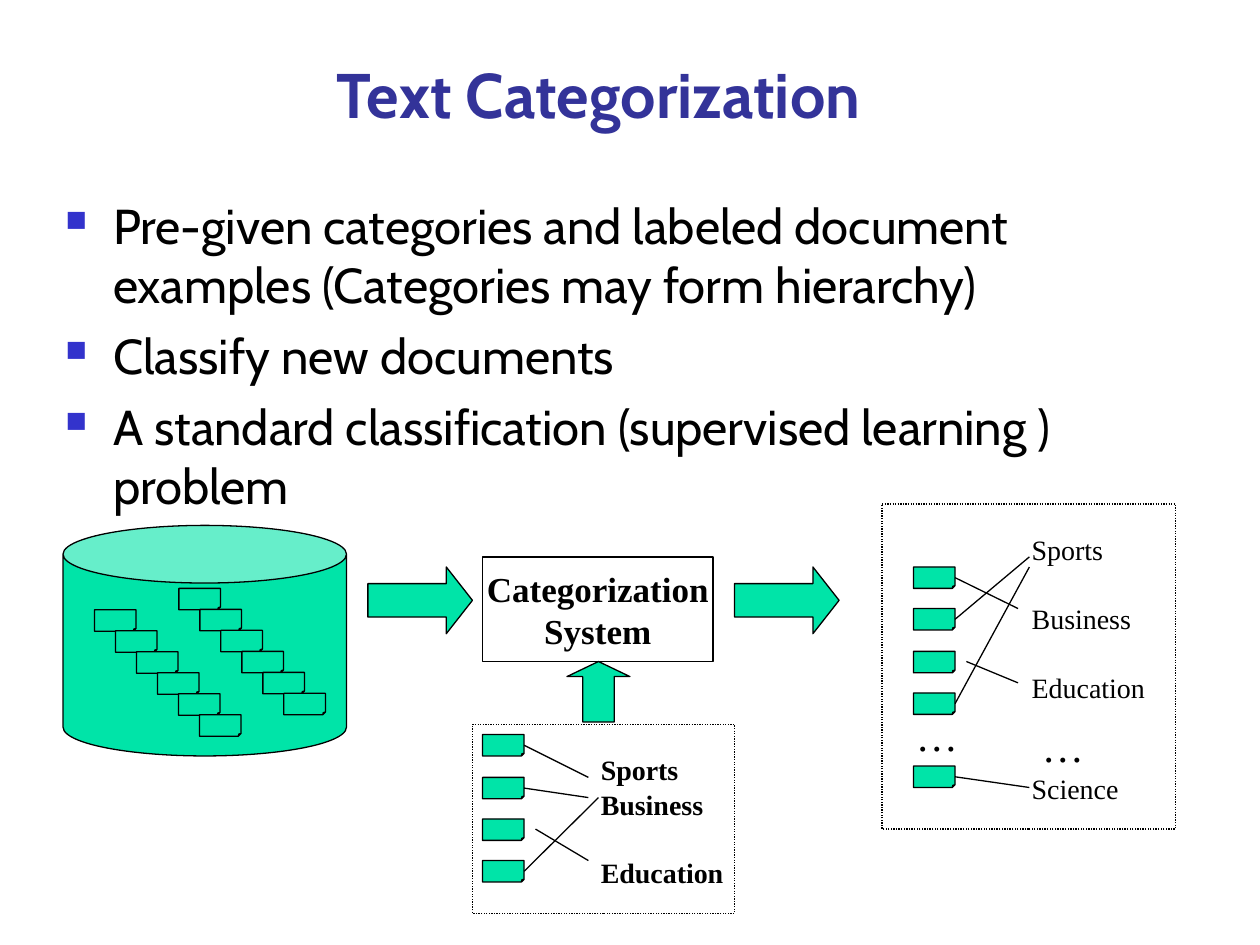
from lxml.etree import SubElement
from pptx import Presentation
from pptx.dml.color import RGBColor as RGB
from pptx.enum.dml import MSO_LINE as Dash
from pptx.enum.shapes import MSO_CONNECTOR as Conn, MSO_SHAPE as Geo
from pptx.enum.text import MSO_ANCHOR as Anchor, MSO_AUTO_SIZE as Fit, PP_ALIGN as Align
from pptx.oxml.ns import qn
from pptx.util import Inches, Pt

HUES = {"title": "333399", "bullet": "3333CC", "ink": "000000", "mint": "00E4A8"}
SERIF = "Times New Roman"
CARD = (0.33, 0.17)


def hue(name):
    return RGB.from_string(HUES[name])


def style(font, color="ink", **values):
    font.color.rgb = hue(color)
    for name, value in values.items():
        setattr(font, name, value)


def shape(slide, geo, box, fill="mint", adj=(), dash=None):
    item = slide.shapes.add_shape(geo, *map(Inches, box))
    item.shadow.inherit = False
    if fill:
        item.fill.solid()
        item.fill.fore_color.rgb = hue(fill)
    else:
        item.fill.background()
    item.line.color.rgb = hue("ink")
    item.line.width = Pt(0.75)
    if dash:
        item.line.dash_style = dash
    for i, value in enumerate(adj):
        item.adjustments[i] = value
    return item


def card(slide, left, top):
    item = shape(slide, Geo.FOLDED_CORNER, (left, top, *CARD))
    guides = item._element.spPr.find(".//" + qn("a:avLst"))
    SubElement(guides, qn("a:gd"), name="adj", fmla="val 12500")
    return item


def line(slide, start, end, source=None):
    link = slide.shapes.add_connector(Conn.STRAIGHT, *map(Inches, (*start, *end)))
    if source is not None:
        link.begin_connect(source, 3)
    link.line.color.rgb = hue("ink")
    link.line.width = Pt(0.75)
    SubElement(link._element.spPr, qn("a:effectLst"))


def label(slide, box, rows, size, bold=False):
    frame = slide.shapes.add_textbox(*map(Inches, box)).text_frame
    frame.word_wrap = False
    for i, (text, gap) in enumerate(rows):
        para = frame.paragraphs[0] if i == 0 else frame.add_paragraph()
        para.text = text
        if gap:
            para.space_before = Pt(gap)
        style(para.font, name=SERIF, size=Pt(size), bold=bold)


def heading(slide, box):
    title = slide.shapes.title
    title.left, title.top, title.width, title.height = map(Inches, box)
    frame = title.text_frame
    frame.text = "Text Categorization"
    frame.auto_size = Fit.NONE
    frame.vertical_anchor = Anchor.BOTTOM
    frame.margin_right = Inches(0.96)
    para = frame.paragraphs[0]
    para.alignment = Align.CENTER
    style(para.font, "title", name="Cabin", size=Pt(36), bold=True)


def points(slide, box, texts):
    frame = slide.shapes.add_textbox(*map(Inches, box)).text_frame
    frame.word_wrap = True
    for i, text in enumerate(texts):
        para = frame.paragraphs[0] if i == 0 else frame.add_paragraph()
        para.text = text
        if i:
            para.space_before = Pt(7)
        props = para._p.get_or_add_pPr()
        props.set("marL", str(Inches(0.38)))
        props.set("indent", str(-Inches(0.38)))
        color = SubElement(props, qn("a:buClr"))
        SubElement(color, qn("a:srgbClr"), val=HUES["bullet"])
        SubElement(props, qn("a:buSzPct"), val="60000")
        SubElement(props, qn("a:buChar"), char="■")
        style(para.font, name="Cabin", size=Pt(28))


def store(slide, box):
    left, top = box[:2]
    shape(slide, Geo.CAN, box, adj=[0.25])
    for dx, dy in ((0.25, 0.67), (0.92, 0.5)):
        for i in range(6):
            card(slide, left + dx + i / 6, top + dy + i / 6)


def system(slide, box):
    frame = shape(slide, Geo.RECTANGLE, box, None).text_frame
    frame.word_wrap = False
    frame.vertical_anchor = Anchor.MIDDLE
    for i, text in enumerate(("Categorization", "System")):
        para = frame.paragraphs[0] if i == 0 else frame.add_paragraph()
        para.text = text
        para.alignment = Align.CENTER
        style(para.font, name=SERIF, size=Pt(20), bold=True)


def panel(slide, box, inset, tops, links, loose, area, rows, bold=False):
    left, top = box[:2]

    def at(spot):
        return left + spot[0], top + spot[1]

    shape(slide, Geo.RECTANGLE, box, None, dash=Dash.ROUND_DOT)
    cards = [card(slide, *at((inset, y))) for y in tops]
    for i, end in links:
        start = (inset + CARD[0], tops[i] + CARD[1] / 2)
        line(slide, at(start), at(end), cards[i])
    line(slide, *map(at, loose))
    label(slide, (*at(area), *area[2:]), rows, 16, bold)


def arrows(slide):
    for left in (2.92, 5.83):
        shape(slide, Geo.RIGHT_ARROW, (left, 4.5, 0.83, 0.53), adj=[0.5, 0.392])
    shape(slide, Geo.UP_ARROW, (4.5, 5.25, 0.5, 0.48), adj=[0.5, 0.25])


def main():
    deck = Presentation()
    deck.slide_width, deck.slide_height = Inches(10), Inches(7.5)
    slide = deck.slides.add_slide(deck.slide_layouts[5])
    heading(slide, (0.92, 0.42, 8.52, 0.67))
    points(slide, (0.42, 1.5, 9.17, 5.58), (
        "Pre-given categories and labeled document examples (Categories may form hierarchy)",
        "Classify new documents",
        "A standard classification (supervised learning ) problem",
    ))
    store(slide, (0.5, 4.17, 2.25, 1.83))
    system(slide, (3.83, 4.42, 1.83, 0.83))
    panel(slide, (7, 4, 2.33, 2.58), 0.25, (0.5, 0.83, 1.17, 1.5, 2.08),
          ((0, (1.08, 0.83)), (1, (1.17, 0.42)), (3, (1.17, 0.5)), (4, (1.17, 2.25))),
          ((0.67, 1.25), (1.08, 1.42)), (1.09, 0.18, 1.1, 2.77),
          (("Sports", 0), ("Business", 20), ("Education", 20), ("Science", 39)))
    for left, top in ((7.17, 5.58), (8.17, 5.67)):
        label(slide, (left, top, 0.53, 0.5), [("…", 0)], 24)
    panel(slide, (3.75, 5.75, 2.08, 1.5), 0.08, (0.08, 0.42, 0.75, 1.08),
          ((0, (0.92, 0.42)), (1, (0.92, 0.58)), (3, (1, 0.58))),
          ((0.5, 0.83), (0.92, 1.08)), (0.92, 0.17, 1.17, 1.17),
          (("Sports", 0), ("Business", 1), ("Education", 20)), True)
    arrows(slide)
    deck.save("out.pptx")


if __name__ == "__main__":
    main()
